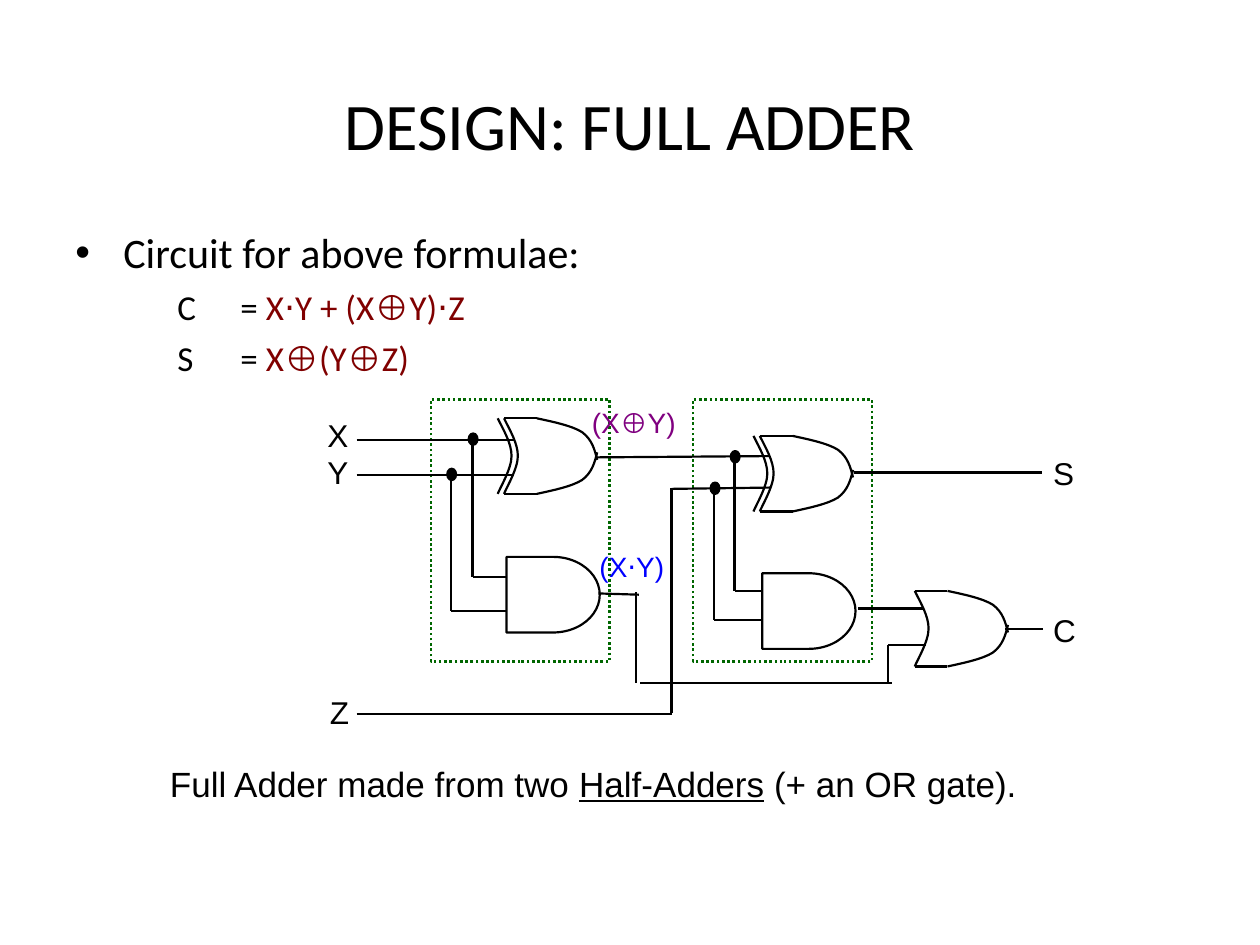
import pptx
import pptx.dml.color
import pptx.enum.dml
import pptx.enum.shapes
import pptx.enum.text
import pptx.oxml
import pptx.oxml.ns
import pptx.util
from pptx.util import Inches

COLORS = {
    "ink": "000000",
    "formula": "800000",
    "sum_label": "800080",
    "carry_label": "0000FF",
    "adder_box": "006600",
}
SHAPES = pptx.enum.shapes.MSO_SHAPE
GATE_HEIGHT = 0.6
SYMBOLS = "⊕⋅"


def color(name):
    """Return the named colour."""
    return pptx.dml.color.RGBColor.from_string(COLORS[name])


def set_font(font, size, name="Arial", ink="ink"):
    """Set size, typeface and colour of a font."""
    font.size = pptx.util.Pt(size)
    font.name = name
    font.color.rgb = color(ink)


def add_element(parent, tag, **attributes):
    """Append a DrawingML element with attributes and return it."""
    element = pptx.oxml.parse_xml(f"<a:{tag} {pptx.oxml.ns.nsdecls('a')}/>")
    for key, value in attributes.items():
        element.set(key, str(value))
    parent.append(element)
    return element


def add_text_box(slide, left, top, width, height):
    """Add a wrapping text box and return its text frame."""
    frame = slide.shapes.add_textbox(
        Inches(left), Inches(top), Inches(width), Inches(height)).text_frame
    frame.word_wrap = True
    return frame


def add_label(slide, left, top, width, height, lines, size=18, ink="ink"):
    """Add a label with one paragraph for each line."""
    frame = add_text_box(slide, left, top, width, height)
    frame.text = "\n".join(lines)
    for paragraph in frame.paragraphs:
        set_font(paragraph.font, size, ink=ink)


def outline(shape, ink="ink", width=1.25):
    """Give a shape a plain line, no fill and no shadow."""
    shape.shadow.inherit = False
    shape.fill.background()
    shape.line.color.rgb = color(ink)
    shape.line.width = pptx.util.Pt(width)


def add_shape(slide, preset, left, top, width, height):
    """Add an outlined preset shape."""
    shape = slide.shapes.add_shape(
        preset, Inches(left), Inches(top), Inches(width), Inches(height))
    outline(shape)
    return shape


def add_wire(slide, left, top, *ends):
    """Connect two points given relative to left and top."""
    x1, y1, x2, y2 = ends
    wire = slide.shapes.add_connector(
        pptx.enum.shapes.MSO_CONNECTOR.STRAIGHT,
        Inches(left + x1), Inches(top + y1), Inches(left + x2), Inches(top + y2))
    wire.line.color.rgb = color("ink")
    wire.line.width = pptx.util.Pt(1.25)
    add_element(wire._element.spPr, "effectLst")


def add_curve(slide, left, top, points):
    """Draw chained cubic curves through points relative to left and top."""
    track = [(Inches(left + x), Inches(top + y)) for x, y in points]
    builder = slide.shapes.build_freeform(*track[0])
    builder.add_line_segments(track[1:], close=False)
    shape = builder.convert_to_shape()
    outline(shape)
    lines = list(shape._element.iter(pptx.oxml.ns.qn("a:lnTo")))
    outline_path = lines[0].getparent()
    for first in range(0, len(lines), 3):
        curve = add_element(outline_path, "cubicBezTo")
        for line in lines[first:first + 3]:
            curve.append(line[0])
            outline_path.remove(line)


def add_or_gate(slide, left, top, exclusive=False):
    """Draw an OR gate, or an XOR gate with a second back curve."""
    back = [(0, 0), (0.05, 0.1), (0.11, 0.2), (0.11, 0.3),
            (0.11, 0.4), (0.02, 0.55), (0, GATE_HEIGHT)]
    nose = [(0.26, 0), (0.4, 0.03), (0.54, 0.06), (0.62, 0.11),
            (0.7, 0.17), (0.72, 0.25), (0.74, 0.33)]
    add_curve(slide, left, top, back)
    if exclusive:
        add_curve(slide, left - 0.05, top, back)
    add_curve(slide, left, top, nose)
    add_curve(slide, left, top, [(x, GATE_HEIGHT - y) for x, y in nose])
    for y in (0, GATE_HEIGHT):
        add_wire(slide, left, top, 0, y, 0.26, y)


def add_half_adder(slide, left, top, xor_at, and_at, taps):
    """Draw a dotted half adder; taps are (x, input y, AND input y)."""
    add_or_gate(slide, left + xor_at[0], top + xor_at[1], exclusive=True)
    add_shape(slide, SHAPES.FLOWCHART_DELAY,
              left + and_at[0], top + and_at[1], 0.74, GATE_HEIGHT)
    for x, input_y, and_y in taps:
        add_wire(slide, left, top, x, input_y, x, and_y)
        add_wire(slide, left, top, x, and_y, and_at[0], and_y)
        dot = add_shape(slide, SHAPES.OVAL,
                        left + x - 0.03, top + input_y - 0.05, 0.07, 0.09)
        dot.fill.solid()
        dot.fill.fore_color.rgb = color("ink")
    box = add_shape(slide, SHAPES.RECTANGLE, left, top, 1.42, 2.08)
    outline(box, "adder_box", 1.5)
    box.line.dash_style = pptx.enum.dml.MSO_LINE.ROUND_DOT


def add_circuit(slide, left, top):
    """Draw the full adder circuit with its wires and labels."""
    add_half_adder(slide, left + 0.92, top, (0.58, 0.15), (0.6, 1.25),
                   [(0.33, 0.32, 1.41), (0.16, 0.6, 1.68)])
    add_half_adder(slide, left + 3, top, (0.53, 0.29), (0.55, 1.38),
                   [(0.33, 0.46, 1.52), (0.17, 0.71, 1.75)])
    add_or_gate(slide, left + 4.76, top + 1.52)
    wires = [
        (0.33, 0.32, 1.58, 0.32), (0.33, 0.6, 1.58, 0.6),
        (2.23, 0.46, 3.61, 0.45), (2.25, 1.54, 2.57, 1.55),
        (2.55, 1.53, 2.55, 2.25), (2.58, 2.25, 4.58, 2.25),
        (4.55, 2.25, 4.55, 1.95), (4.55, 1.95, 4.85, 1.95),
        (0.33, 2.5, 2.83, 2.5), (2.83, 2.49, 2.83, 0.7),
        (2.83, 0.71, 3.61, 0.7), (4.28, 0.58, 5.77, 0.58),
        (4.31, 1.66, 4.83, 1.66), (5.48, 1.82, 5.78, 1.82),
    ]
    for wire in wires:
        add_wire(slide, left, top, *wire)
    add_label(slide, left, top + 0.08, 0.42, 0.6, ["X", "Y"])
    for text, x, y in [("Z", 0.02, 2.28), ("S", 5.76, 0.38), ("C", 5.76, 1.63)]:
        add_label(slide, left + x, top + y, 0.42, 0.38, [text])
    add_label(slide, left + 2.1, top, 0.9, 0.38, ["(X⊕Y)"], 16, "sum_label")
    add_label(slide, left + 2.16, top + 1.14, 0.76, 0.36, ["(X⋅Y)"], 16, "carry_label")


def add_formula(paragraph, name, formula):
    """Write one output formula, with its operators in Arial."""
    paragraph.space_before = pptx.util.Pt(5)
    properties = paragraph._p.get_or_add_pPr()
    properties.set("marL", str(Inches(0.81)))
    properties.set("indent", "0")
    add_element(properties, "buNone")
    add_element(add_element(properties, "tabLst"), "tab", pos=Inches(1.81), algn="l")
    run = paragraph.add_run()
    run.text = f"{name}\t= "
    set_font(run.font, 20, "Calibri")
    for symbol in SYMBOLS:
        formula = formula.replace(symbol, f"|{symbol}|")
    for piece in formula.split("|"):
        run = paragraph.add_run()
        run.text = piece
        set_font(run.font, 20, "Arial" if piece in SYMBOLS else "Calibri", "formula")


def add_formulae(slide, left, top, width, height):
    """Add the bullet and the two formulae under it."""
    frame = add_text_box(slide, left, top, width, height)
    heading = frame.paragraphs[0]
    heading.text = "Circuit for above formulae:"
    properties = heading._p.get_or_add_pPr()
    properties.set("marL", str(Inches(0.38)))
    properties.set("indent", str(-Inches(0.38)))
    add_element(properties, "buFont", typeface="Arial")
    add_element(properties, "buChar", char="•")
    set_font(heading.font, 24, "Calibri")
    for name, formula in [("C", "X⋅Y + (X⊕Y)⋅Z"), ("S", "X⊕(Y⊕Z)")]:
        add_formula(frame.add_paragraph(), name, formula)


def add_title(slide, left, top, width, height):
    """Place and format the slide title."""
    title = slide.shapes.title
    title.left, title.top = Inches(left), Inches(top)
    title.width, title.height = Inches(width), Inches(height)
    title.text_frame.text = "DESIGN: FULL ADDER"
    title.text_frame.vertical_anchor = pptx.enum.text.MSO_ANCHOR.MIDDLE
    paragraph = title.text_frame.paragraphs[0]
    paragraph.alignment = pptx.enum.text.PP_ALIGN.CENTER
    set_font(paragraph.font, 38, "Calibri")


def add_caption(slide, left, top, width, height):
    """Add the closing sentence with its underlined term."""
    paragraph = add_text_box(slide, left, top, width, height).paragraphs[0]
    for text in ("Full Adder made from two ", "Half-Adders", " (+ an OR gate)."):
        run = paragraph.add_run()
        run.text = text
        run.font.underline = True if text == "Half-Adders" else None
    set_font(paragraph.font, 20)


def main():
    """Build and save the presentation."""
    presentation = pptx.Presentation()
    presentation.slide_width, presentation.slide_height = Inches(10), Inches(7.5)
    slide = presentation.slides.add_slide(presentation.slide_layouts[5])
    add_title(slide, 0.5, 0.3, 9, 1.36)
    add_formulae(slide, 0.5, 1.75, 8.92, 4.83)
    add_caption(slide, 1.25, 6, 7.25, 0.58)
    add_circuit(slide, 2.5, 3.17)
    presentation.save("out.pptx")


if __name__ == "__main__":
    main()
